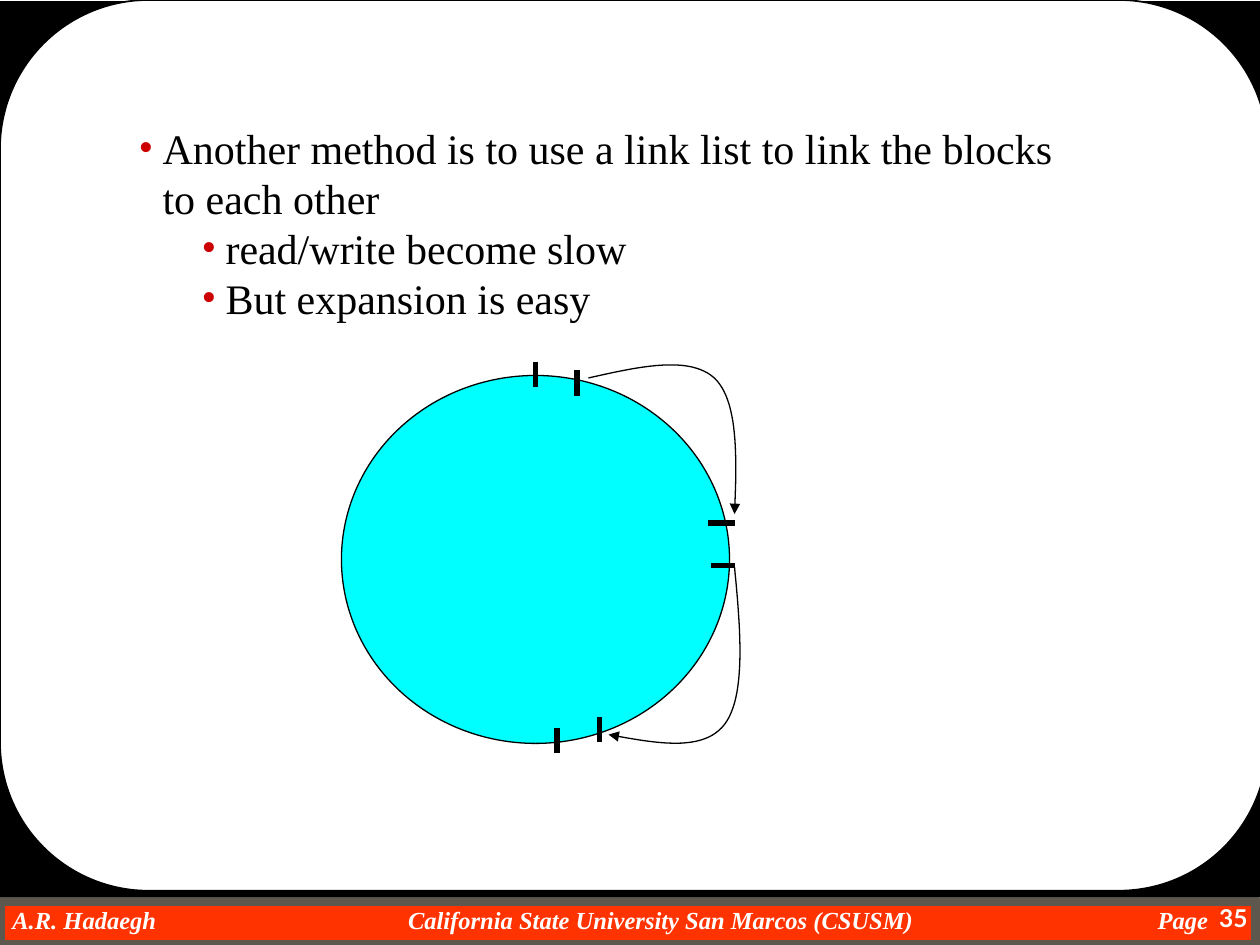
import pptx
import pptx.util
import pptx.dml.color
import pptx.enum.shapes
import pptx.enum.text
import pptx.oxml
import pptx.oxml.ns

Inches, Pt = pptx.util.Inches, pptx.util.Pt
SHAPE = pptx.enum.shapes.MSO_SHAPE
ALIGN = pptx.enum.text.PP_ALIGN

COLORS = {"ink": "000000", "paper": "FFFFFF", "bar": "FF3300",
          "edge": "5E574E", "disk": "00FFFF", "dot": "CC0000"}
SERIF = "Times New Roman"


def rgb(name):
    return pptx.dml.color.RGBColor.from_string(COLORS[name])


def add_xml(parent, tag, inner="", attrs=""):
    ns = pptx.oxml.ns.nsdecls("a")
    parent.append(pptx.oxml.parse_xml(f"<a:{tag} {ns} {attrs}>{inner}</a:{tag}>"))


def bezier(start, curves, steps=24):
    """Return points along a chain of cubic curves, each (control, control, end)."""
    points = [start]
    for b, c, d in curves:
        a = points[-1]
        for i in range(1, steps + 1):
            t = i / steps
            u = 1 - t
            points.append(tuple(
                u**3 * p + 3 * u * u * t * q + 3 * u * t * t * r + t**3 * s
                for p, q, r, s in zip(a, b, c, d)))
    return points


class Board:
    def __init__(self, slide):
        self.slide = slide
        self.shapes = slide.shapes

    def shape(self, kind, box, fill, line=None, width=0.75):
        item = self.shapes.add_shape(kind, *map(Inches, box))
        item.shadow.inherit = False
        item.fill.solid()
        item.fill.fore_color.rgb = rgb(fill)
        if line:
            item.line.color.rgb = rgb(line)
            item.line.width = Pt(width)
        else:
            item.line.fill.background()
        return item

    def font(self, para, size, face, color, bold=False, italic=False):
        for run in para.runs:
            font = run.font
            font.size, font.name = Pt(size), face
            font.bold, font.italic = bold, italic
            font.color.rgb = rgb(color)

    def label(self, box, text, face, italic=False, align=ALIGN.LEFT, inset=None):
        item = self.shapes.add_textbox(*map(Inches, box))
        frame = item.text_frame
        frame.word_wrap = True
        if inset is not None:
            frame.margin_left = frame.margin_right = Inches(inset)
            frame.margin_top = frame.margin_bottom = 0
        para = frame.paragraphs[0]
        para.text = text
        para.alignment = align
        self.font(para, 14, face, "paper", True, italic)
        return para

    def tabs(self, para, stops):
        inner = "".join(f'<a:tab pos="{Inches(x)}" algn="l"/>' for x in stops)
        add_xml(para._p.get_or_add_pPr(), "tabLst", inner)

    def body(self, box, items):
        """Fill the body placeholder with (level, text) bullets."""
        item = self.slide.placeholders[1]
        item.left, item.top, item.width, item.height = map(Inches, box)
        frame = item.text_frame
        frame.auto_size = pptx.enum.text.MSO_AUTO_SIZE.NONE
        frame.text = "\n".join(text for _, text in items)
        for para, (level, _) in zip(frame.paragraphs, items):
            para.level = level
            para.line_spacing = Pt(28.7)
            para.space_before = Pt(0)
            props = para._p.get_or_add_pPr()
            props.set("marL", str(Inches(0.19 + 0.5 * level)))
            props.set("indent", str(-Inches(0.19)))
            add_xml(props, "buClr", f'<a:srgbClr val="{COLORS["dot"]}"/>')
            add_xml(props, "buFont", attrs=f'typeface="{SERIF}"')
            add_xml(props, "buChar", attrs='char="•"')
            self.font(para, 24, SERIF, "ink")

    def tick(self, start, end):
        line = self.shapes.add_connector(
            pptx.enum.shapes.MSO_CONNECTOR.STRAIGHT, *map(Inches, start + end))
        line.line.color.rgb = rgb("ink")
        line.line.width = Pt(3)
        add_xml(line._element.spPr, "effectLst")

    def arrow(self, start, curves):
        points = [(Inches(x), Inches(y)) for x, y in bezier(start, curves)]
        form = self.shapes.build_freeform(*points[0])
        form.add_line_segments(points[1:], close=False)
        item = form.convert_to_shape()
        item.shadow.inherit = False
        item.fill.background()
        item.line.color.rgb = rgb("ink")
        item.line.width = Pt(0.75)
        add_xml(item.line._get_or_add_ln(), "tailEnd", attrs='type="triangle"')


def main():
    deck = pptx.Presentation()
    deck.slide_width, deck.slide_height = Inches(10), Inches(7.5)
    slide = deck.slides.add_slide(deck.slide_layouts[1])
    title, body = slide.shapes.title._element, slide.placeholders[1]._element
    title.getparent().remove(title)
    board = Board(slide)

    # Frame and footer
    board.shape(SHAPE.RECTANGLE, (0, 7.15, 9.97, 0.35), "bar", "edge", 6)
    foot = board.label((0, 7.18, 9.97, 0.23),
                       "A.R. Hadaegh\tCalifornia State University San Marcos (CSUSM)\tPage",
                       SERIF, italic=True, inset=0.1)
    board.tabs(foot, (3.14, 9.09))
    board.shape(SHAPE.RECTANGLE, (0, 0.01, 10, 7.11), "ink")
    panel = board.shape(SHAPE.ROUNDED_RECTANGLE, (0, 0, 10.06, 7.07), "paper", "ink", 1)
    panel.adjustments[0] = 1.18 / 7.07
    board.label((9.25, 7.12, 0.75, 0.38), "35", "Lato", align=ALIGN.RIGHT)

    # Bullets, lifted above the frame
    slide.shapes._spTree.append(body)
    board.body((1, 0.92, 7.5, 1.7), [
        (0, "Another method is to use a link list to link the blocks to each other"),
        (1, "read/write become slow"),
        (1, "But expansion is easy")])

    # Disk with block marks and links
    board.shape(SHAPE.OVAL, (2.71, 2.98, 3.08, 2.92), "disk", "ink")
    for x, y in ((4.25, 2.87), (4.58, 2.94), (4.42, 5.78), (4.76, 5.69)):
        board.tick((x, y), (x, y + 0.2))
    for x, y in ((5.64, 4.49), (5.62, 4.15)):
        board.tick((5.83, y), (x, y))
    board.arrow((4.67, 3), [((5.07, 2.91), (5.47, 2.82), (5.67, 3)),
                            ((5.86, 3.18), (5.85, 3.63), (5.83, 4.08))])
    board.arrow((5.83, 4.5), [((5.88, 5.01), (5.92, 5.53), (5.75, 5.75)),
                              ((5.58, 5.97), (5.21, 5.9), (4.83, 5.83))])
    deck.save("out.pptx")


if __name__ == "__main__":
    main()
